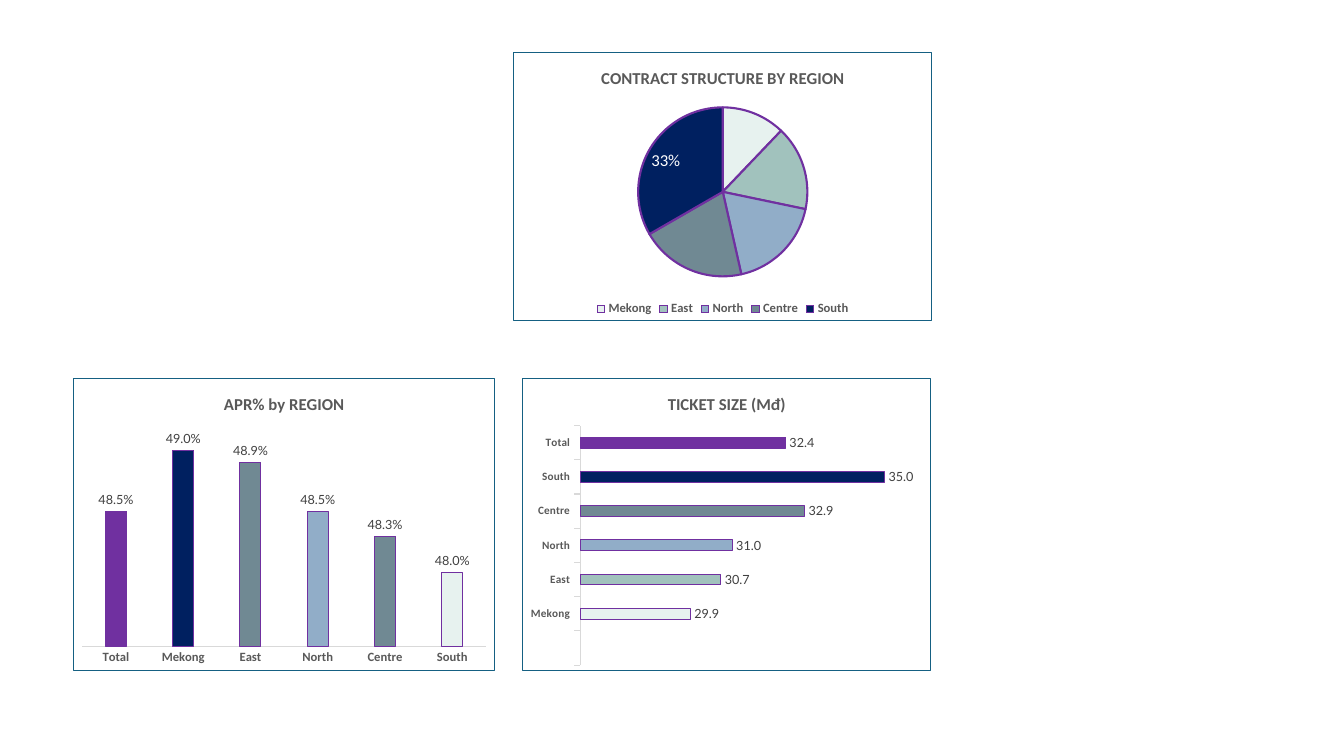
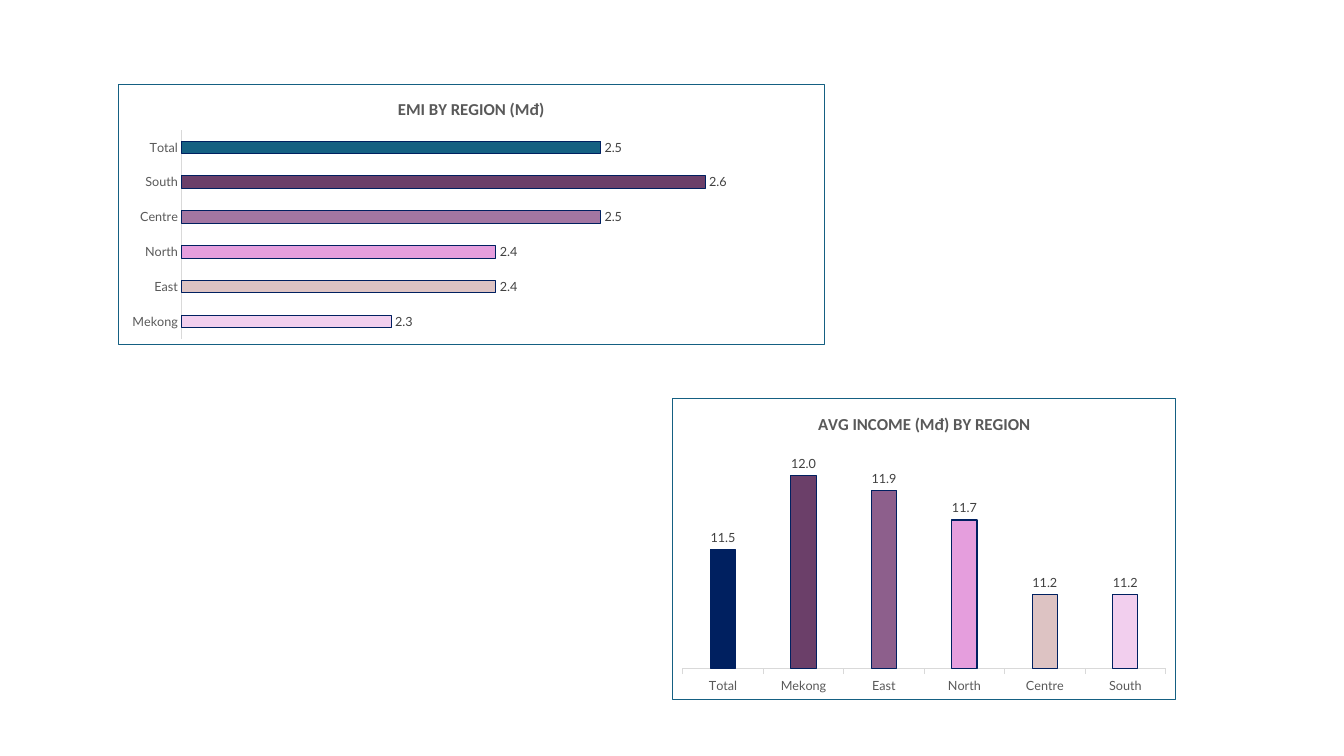
from lxml.etree import SubElement as Sub
from pptx import Presentation
from pptx.chart.data import CategoryChartData as Data
from pptx.dml.color import RGBColor as RGB
from pptx.enum.chart import XL_CHART_TYPE as Kind
from pptx.enum.chart import XL_LABEL_POSITION as Pos
from pptx.enum.chart import XL_LEGEND_POSITION as Side
from pptx.enum.chart import XL_TICK_MARK as Tick
from pptx.oxml import parse_xml
from pptx.oxml.ns import nsdecls, qn
from pptx.util import Cm, Pt

WHITE, BLACK, TEAL, NAVY = "FFFFFF", "000000", "156082", "002060"
GREY, DARK, PALE, PURPLE = "595959", "404040", "D9D9D9", "7030A0"
MINT, SAGE, SKY, SLATE = "E7F2EF", "A1C2BD", "91ADC8", "708993"
LILAC, ROSE, PINK, PLUM = "F2CFEE", "DDC3C3", "E59EDD", "6B3F69"
MAUVE, GRAPE = "A376A2", "8D5F8C"
AREAS = ["Mekong", "East", "North", "Centre", "South"]


def tint(code):
    return RGB.from_string(code)


class Deck:
    """Hold the shared chart style and the current slide."""

    head, body = "Calibri", "Lato"

    def __init__(self):
        self.prs = Presentation()
        self.prs.slide_width, self.prs.slide_height = Cm(33.87), Cm(19.05)

    def page(self):
        self.slide = self.prs.slides.add_slide(self.prs.slide_layouts[6])

    def style(self, font, size, color, face=None, bold=False):
        font.size, font.bold = Pt(size), bold
        font.name = face or self.body
        font.color.rgb = tint(color)

    def frame(self, chart):
        box = parse_xml(f'<c:spPr {nsdecls("c", "a")}/>')
        for parent, color in (
            (box, WHITE),
            (Sub(box, qn("a:ln"), w=str(Pt(0.75))), TEAL),
        ):
            fill = parse_xml(
                f'<a:solidFill {nsdecls("a")}><a:srgbClr val="{color}"/></a:solidFill>'
            )
            parent.insert(0, fill)
        chart.element.find(qn("c:chart")).addnext(box)

    def chart(self, kind, spot, title, cats, vals, fmt, fills, edge, width=0.75):
        data = Data(number_format=fmt)
        data.categories = cats
        data.add_series("Series 1", vals)
        chart = self.slide.shapes.add_chart(kind, *map(Cm, spot), data).chart
        self.style(chart.font, 10, BLACK)
        self.frame(chart)
        chart.has_legend = False
        chart.has_title = True
        text = chart.chart_title.text_frame
        text.text = title
        self.style(text.paragraphs[0].runs[0].font, 12, GREY, self.head, True)
        chart.chart_title.include_in_layout = False
        plot = chart.plots[0]
        for i, (val, color) in enumerate(zip(vals, fills)):
            if val is None:
                continue
            form = plot.series[0].points[i].format
            form.fill.solid()
            form.fill.fore_color.rgb = tint(color)
            form.line.color.rgb = tint(edge)
            form.line.width = Pt(width)
        plot.has_data_labels = True
        tags = plot.data_labels
        tags.show_value = True
        tags.number_format, tags.number_format_is_linked = fmt, False
        return chart

    def bars(self, kind, spot, title, cats, vals, fills, edge, span,
             fmt="#,##0.0", gap=219, tick=Tick.NONE, size=9, bold=False):
        chart = self.chart(kind, spot, title, cats, vals, fmt, fills, edge)
        plot = chart.plots[0]
        plot.vary_by_categories = False
        plot.gap_width = gap
        plot.overlap = -27 if kind == Kind.COLUMN_CLUSTERED else 0
        plot.series[0].invert_if_negative = False
        plot.data_labels.position = Pos.OUTSIDE_END
        self.style(plot.data_labels.font, 9, DARK)
        scale = chart.value_axis
        scale.minimum_scale, scale.maximum_scale = span
        scale.has_major_gridlines = False
        scale.visible = False
        axis = chart.category_axis
        axis.major_tick_mark, axis.minor_tick_mark = tick, Tick.NONE
        axis.format.line.color.rgb = tint(PALE)
        axis.format.line.width = Pt(0.75)
        face = self.head if bold else self.body
        self.style(axis.tick_labels.font, size, GREY, face, bold)

    def pie(self, spot, title, cats, vals, fills, edge):
        chart = self.chart(Kind.PIE, spot, title, cats, vals, "0%", fills, edge, 1.5)
        plot = chart.plots[0]
        plot.vary_by_categories = True
        plot.data_labels.position = Pos.BEST_FIT
        self.style(plot.data_labels.font, 12, BLACK, self.head)
        last = plot.series[0].points[len(vals) - 1].data_label
        self.style(last.font, 12, WHITE, self.head)
        last.position = Pos.BEST_FIT
        chart.has_legend = True
        chart.legend.position = Side.BOTTOM
        chart.legend.include_in_layout = False
        self.style(chart.legend.font, 9, GREY, self.head, True)


def main():
    deck = Deck()
    col, bar = Kind.COLUMN_CLUSTERED, Kind.BAR_CLUSTERED
    cool = [MINT, SAGE, SKY, SLATE, NAVY]

    deck.page()
    deck.pie((12.93, 1.32, 10.57, 6.76), "CONTRACT STRUCTURE BY REGION",
             AREAS, [0.12, 0.16, 0.18, 0.2, 0.33], cool, PURPLE)
    deck.bars(col, (1.85, 9.53, 10.62, 7.39), "APR% by REGION",
              ["Total"] + AREAS, [0.485, 0.49, 0.489, 0.485, 0.483, 0.48],
              [PURPLE, NAVY, SLATE, SKY, SLATE, MINT], PURPLE,
              (0.474, 0.492), fmt="0.0%", bold=True)
    deck.bars(bar, (13.16, 9.53, 10.31, 7.39), "TICKET SIZE (Mđ)",
              [""] + AREAS + ["Total"], [None, 29.9, 30.7, 31, 32.9, 35, 32.4],
              [WHITE] + cool + [PURPLE], PURPLE, (27, 36),
              tick=Tick.OUTSIDE, size=8, bold=True)

    deck.page()
    deck.bars(bar, (2.97, 2.11, 17.81, 6.58), "EMI BY REGION (Mđ)",
              AREAS + ["Total"], [2.3, 2.4, 2.4, 2.5, 2.6, 2.5],
              [LILAC, ROSE, PINK, MAUVE, PLUM, TEAL], NAVY, (2.1, 2.7), gap=182)
    deck.bars(col, (16.94, 10.03, 12.7, 7.62), "AVG INCOME (Mđ) BY REGION",
              ["Total"] + AREAS, [11.5, 12, 11.9, 11.7, 11.2, 11.2],
              [NAVY, PLUM, GRAPE, PINK, ROSE, LILAC], NAVY,
              (10.7, 12.2), tick=Tick.OUTSIDE)
    deck.prs.save("out.pptx")


if __name__ == "__main__":
    main()
